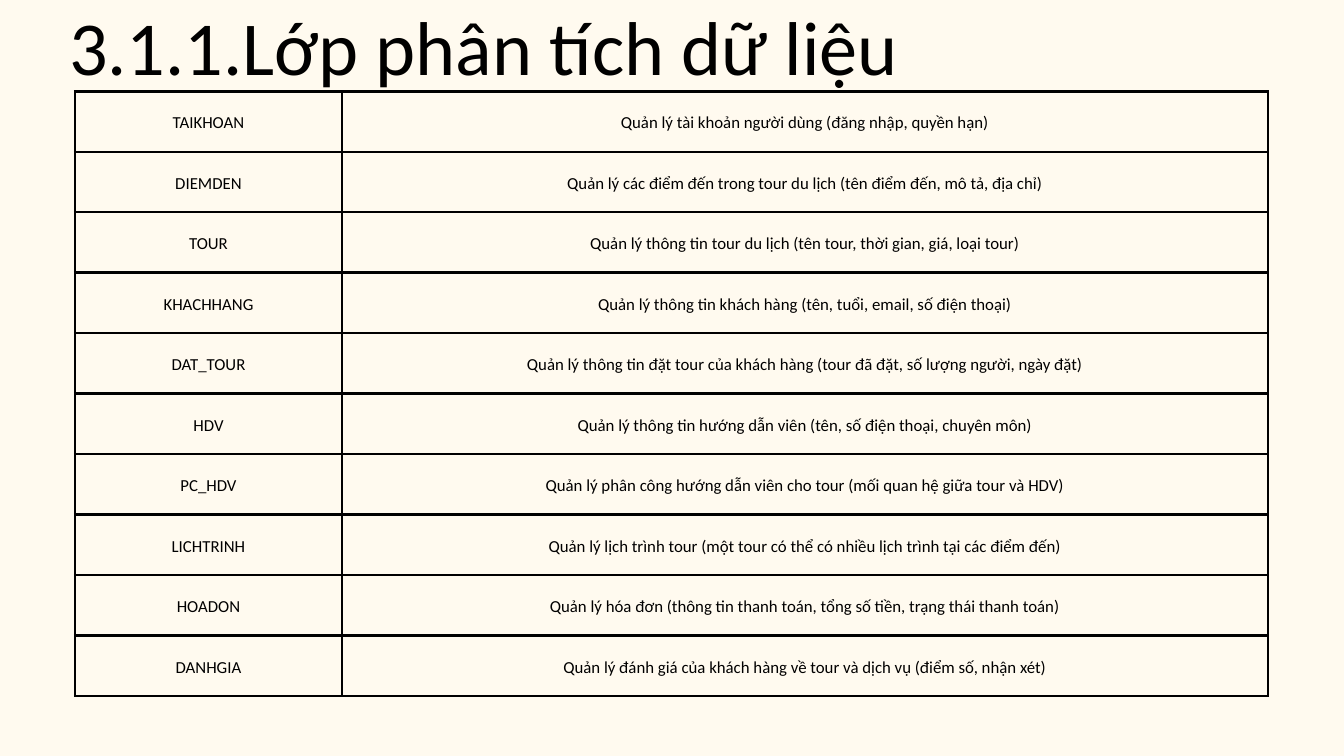
from lxml.etree import SubElement
from pptx import Presentation
from pptx.dml.color import RGBColor
from pptx.enum.text import MSO_ANCHOR as Anchor, MSO_AUTO_SIZE as AutoSize, PP_ALIGN as Align
from pptx.oxml.ns import qn
from pptx.util import Cm, Pt

TITLE = "3.1.1.Lớp phân tích dữ liệu"
CLASSES = [
    ("TAIKHOAN", "Quản lý tài khoản người dùng (đăng nhập, quyền hạn)"),
    ("DIEMDEN", "Quản lý các điểm đến trong tour du lịch (tên điểm đến, mô tả, địa chỉ)"),
    ("TOUR", "Quản lý thông tin tour du lịch (tên tour, thời gian, giá, loại tour)"),
    ("KHACHHANG", "Quản lý thông tin khách hàng (tên, tuổi, email, số điện thoại)"),
    ("DAT_TOUR", "Quản lý thông tin đặt tour của khách hàng (tour đã đặt, số lượng người, ngày đặt)"),
    ("HDV", "Quản lý thông tin hướng dẫn viên (tên, số điện thoại, chuyên môn)"),
    ("PC_HDV", "Quản lý phân công hướng dẫn viên cho tour (mối quan hệ giữa tour và HDV)"),
    ("LICHTRINH", "Quản lý lịch trình tour (một tour có thể có nhiều lịch trình tại các điểm đến)"),
    ("HOADON", "Quản lý hóa đơn (thông tin thanh toán, tổng số tiền, trạng thái thanh toán)"),
    ("DANHGIA", "Quản lý đánh giá của khách hàng về tour và dịch vụ (điểm số, nhận xét)"),
]

CREAM = RGBColor(0xFF, 0xFA, 0xEF)
BLACK = RGBColor(0, 0, 0)
COLUMN_WIDTHS = [Cm(10.08), Cm(35)]
ROW_HEIGHT = Cm(2.286)
CELL_MARGIN = Cm(0.53)
BORDER = Pt(3)


def write(frame, text, size, line_height):
    para = frame.paragraphs[0]
    para.text = text
    para.alignment = Align.CENTER
    para.line_spacing = Pt(line_height)
    para.font.name = "Calibri"
    para.font.size = Pt(size)
    para.font.color.rgb = BLACK


def add_borders(cell):
    properties = cell._tc.get_or_add_tcPr()
    for side in ("a:lnL", "a:lnR", "a:lnT", "a:lnB"):
        line = SubElement(properties, qn(side), w=str(BORDER))
        fill = SubElement(line, qn("a:solidFill"))
        SubElement(fill, qn("a:srgbClr"), val=str(BLACK))


deck = Presentation()
deck.slide_width, deck.slide_height = Cm(50.8), Cm(28.575)
page = deck.slides.add_slide(deck.slide_layouts[6])
page.background.fill.solid()
page.background.fill.fore_color.rgb = CREAM

# Table of classes and their purpose
table = page.shapes.add_table(
    len(CLASSES), len(COLUMN_WIDTHS), Cm(2.84), Cm(3.45),
    sum(COLUMN_WIDTHS), ROW_HEIGHT * len(CLASSES)).table
table.first_row = table.horz_banding = False
for column, width in zip(table.columns, COLUMN_WIDTHS):
    column.width = width
for row, texts in zip(table.rows, CLASSES):
    row.height = ROW_HEIGHT
    for cell, text in zip(row.cells, texts):
        cell.margin_left = cell.margin_right = CELL_MARGIN
        cell.margin_top = cell.margin_bottom = CELL_MARGIN
        cell.vertical_anchor = Anchor.MIDDLE
        add_borders(cell)
        cell.fill.background()
        write(cell.text_frame, text, 18, 25.2)

# Title
box = page.shapes.add_textbox(Cm(0), Cm(-0.03), Cm(36.58), Cm(3.48))
frame = box.text_frame
frame.margin_left = frame.margin_right = frame.margin_top = frame.margin_bottom = 0
frame.word_wrap = True
frame.auto_size = AutoSize.SHAPE_TO_FIT_TEXT
write(frame, TITLE, 81.7, 98.1)

deck.save("out.pptx")
